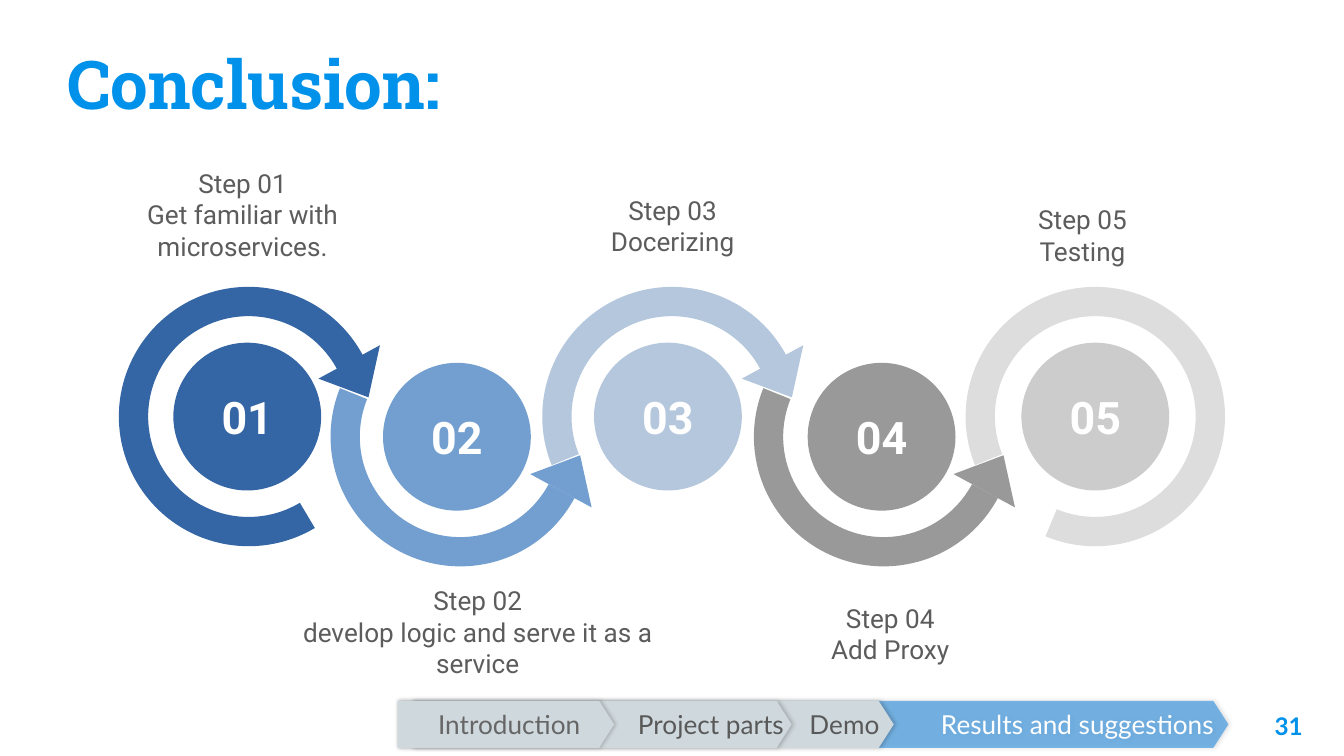
from lxml.etree import SubElement
from pptx import Presentation
from pptx.dml.color import RGBColor
from pptx.enum.shapes import MSO_SHAPE
from pptx.enum.text import MSO_ANCHOR, PP_ALIGN
from pptx.oxml.ns import qn
from pptx.util import Inches, Pt

# Grid of square cells: 100 columns by 56.25 rows (16:9)
CELL = Inches(0.1)
COLS, ROWS = 100, 56.25

HUES = {
    "blue": "0091EA", "white": "FFFFFF", "body": "5C5C5C",
    "navy": "3465A4", "sky": "729FCF", "pale": "B4C7DC",
    "gray": "999999", "mist": "DDDDDD", "silver": "CCCCCC",
    "tab": "CFD8DC", "live": "3393E2", "ink": "595959", "soft": "666666",
    "shade": "000000",
}


def place(box):
    return [round(v * CELL) for v in box]


def write(shape, text, font, size, hue, bold=False, align=PP_ALIGN.LEFT,
          anchor=MSO_ANCHOR.MIDDLE, pad=(0, 0, 0, 0)):
    frame = shape.text_frame
    frame.word_wrap = True
    frame.vertical_anchor = anchor
    (frame.margin_left, frame.margin_top,
     frame.margin_right, frame.margin_bottom) = place(pad)
    para = frame.paragraphs[0]
    para.alignment = align
    for i, line in enumerate(text.split("\n")):
        if i:
            para.add_line_break()
        run = para.add_run()
        run.text = line
        run.font.name = font
        run.font.size = Pt(size)
        run.font.bold = bold
        run.font.color.rgb = RGBColor.from_string(HUES[hue])


def draw(shapes, kind, box, hue, adjust=()):
    shape = shapes.add_shape(kind, *place(box))
    shape.shadow.inherit = False
    shape.fill.solid()
    shape.fill.fore_color.rgb = RGBColor.from_string(HUES[hue])
    shape.line.fill.background()
    for i, value in enumerate(adjust):
        shape.adjustments[i] = value
    return shape


def add_alpha(color, share):
    SubElement(color, qn("a:alpha")).set("val", str(share * 1000))


def add_shade(shape):
    effects = shape._element.spPr.find(qn("a:effectLst"))
    outer = SubElement(effects, qn("a:outerShdw"), blurRad=str(Pt(2.2)),
                       dist=str(Pt(0.7)), dir="0", rotWithShape="0")
    color = SubElement(outer, qn("a:srgbClr"), val=HUES["shade"])
    add_alpha(color, 20)


def add_head(shapes, box):
    title = shapes.add_textbox(*place(box))
    write(title, "Conclusion:", "Roboto Slab", 36, "blue", True,
          anchor=MSO_ANCHOR.BOTTOM, pad=(0, 1, 0, 1))


def add_step(shapes, box, num, ring, disc, shift, span, note):
    left, top, size = box
    low = num % 2 == 0
    last = num == 5
    # Ring: even steps are turned upside down
    group = shapes.add_group_shape().shapes
    start = 35.56 if num == 1 else 94.81
    end = 67.55 if last else 199.08
    arc = draw(group, MSO_SHAPE.BLOCK_ARC, (left, top, size, size), ring,
               (start, end, 0.113))
    if low:
        arc._element.spPr.find(qn("a:xfrm")).set("flipV", "1")
    # Arrow tip leading to the next step
    if not last:
        tip = draw(group, MSO_SHAPE.ISOSCELES_TRIANGLE,
                   (left + 15.25, top + (10.85 if low else 5.4), 5.2, 3), ring)
        tip.rotation = 28.5 if low else 151.5
    # Numbered disc
    dot = draw(shapes, MSO_SHAPE.OVAL,
               (left + shift, top + 4.15, 11, 11), disc)
    write(dot, f"{num:02}", "Roboto", 24, "white", True, PP_ALIGN.CENTER,
          pad=(1, 0.5, 1, 0.5))
    # Caption, given relative to the ring
    x, y, wide, high = span
    label = shapes.add_textbox(*place((left + x, top + y, wide, high)))
    write(label, f"Step {num:02}\n{note}", "Roboto", 14, "body",
          align=PP_ALIGN.CENTER)


def add_chain(shapes, box):
    left, top, pitch, size = box
    steps = [
        ("navy", "navy", 4.05, (-3.25, -8.9, 24.9, 7),
         "Get familiar with microservices."),
        ("sky", "sky", 3.9, (-2.65, 20.65, 27.2, 7),
         "develop logic and serve it as a service"),
        ("pale", "pale", 3.85, (-4.45, -6.9, 28.3, 4.7), "Docerizing"),
        ("gray", "gray", 4, (-4, 21.95, 28.3, 4.7), "Add Proxy"),
        ("mist", "silver", 4.15, (-5.45, -6.2, 28.3, 4.7), "Testing"),
    ]
    for i, step in enumerate(steps):
        spot = (left + i * pitch, top + 1.5 * (i % 2), size)
        add_step(shapes, spot, i + 1, *step)


def add_trail(shapes, box):
    left, top, wide, high = box
    right = PP_ALIGN.RIGHT
    # Back to front: inset, right edge, text, fill, text hue, alignment
    tabs = [
        (1.1, wide, "Results and suggestions ", "live", "white", right),
        (0, 36.9, "Demo ", "tab", "ink", right),
        (1.1, 29.3, "Project parts", "tab", "ink", right),
        (0, 16.1, "Introduction", "tab", "soft", PP_ALIGN.LEFT),
    ]
    for inset, edge, text, fill, hue, align in tabs:
        tab = draw(shapes, MSO_SHAPE.PENTAGON,
                   (left + inset, top, edge - inset, high), fill, (0.32,))
        if fill == "live":
            add_alpha(tab._element.spPr.find(".//" + qn("a:srgbClr")), 63)
        add_shade(tab)
        write(tab, text, "Lato", 14, hue, align=align, pad=(3, 0, 0, 0))


def add_page(shapes, box):
    page = shapes.add_textbox(*place(box))
    write(page, "31", "Lato", 13, "blue", True, PP_ALIGN.RIGHT,
          MSO_ANCHOR.TOP, (1, 1, 1, 1))


def main():
    deck = Presentation()
    deck.slide_width, deck.slide_height = place((COLS, ROWS))
    shapes = deck.slides.add_slide(deck.slide_layouts[6]).shapes
    add_head(shapes, (5, 2.45, 92.5, 7.7))
    add_page(shapes, (91.9, 51.95, 6, 4.3))
    add_chain(shapes, (8.85, 21.35, 15.75, 19.3))
    add_trail(shapes, (29.6, 52.15, 61.8, 3.5))
    deck.save("out.pptx")


if __name__ == "__main__":
    main()
